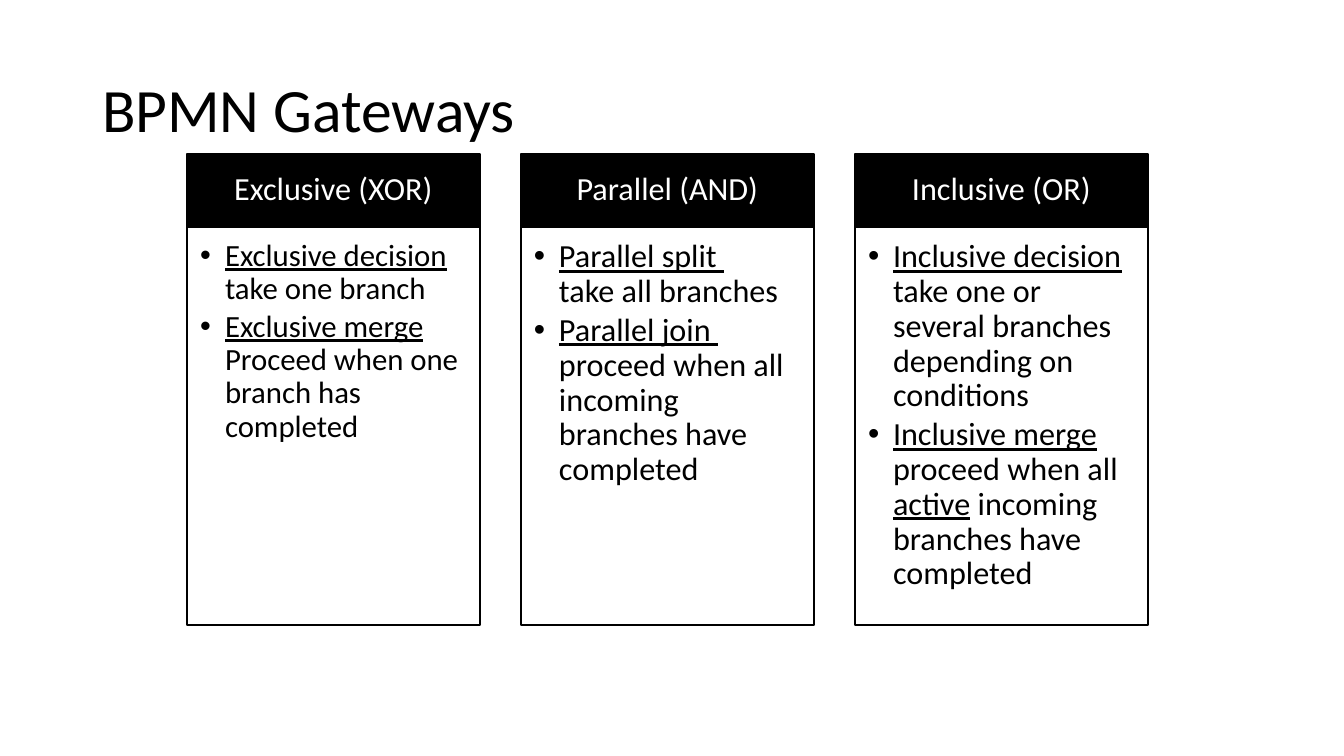
from dataclasses import dataclass

from lxml import etree
from pptx import Presentation
from pptx import util as u
from pptx.dml.color import RGBColor
from pptx.enum import shapes, text
from pptx.oxml.ns import qn


@dataclass(frozen=True)
class Theme:
    font: str = "Calibri"
    ink: RGBColor = RGBColor(0, 0, 0)
    paper: RGBColor = RGBColor(255, 255, 255)
    title: int = 44
    head: int = 23


THEME = Theme()
SCALE = 914400 / 100.8
LEFT, STEP, WIDTH = 187, 334, 293
TOP, HEAD, BODY = 154, 73, 398

GATES = [
    ("Exclusive (XOR)", 22, [
        [("Exclusive decision", True), "\n", ("take one branch", False)],
        [("Exclusive merge", True), "\n",
         ("Proceed when one branch has completed", False)],
    ]),
    ("Parallel (AND)", 23, [
        [("Parallel split ", True), "\n", ("take all branches", False)],
        [("Parallel join ", True), "\n",
         ("proceed when all incoming branches have completed", False)],
    ]),
    ("Inclusive (OR)", 23, [
        [("Inclusive decision ", True),
         ("take one or several branches depending on conditions", False)],
        [("Inclusive merge", True), (" proceed when all ", False),
         ("active", True), (" incoming branches have completed", False)],
    ]),
]


def px(n):
    return u.Emu(round(n * SCALE))


def style(run, size, color, under=None):
    font = run.font
    font.name = THEME.font
    font.size = u.Pt(size)
    font.color.rgb = color
    font.underline = under


def add_title(slide, words):
    title = slide.shapes.title
    title.left, title.top, title.width, title.height = map(px, (92, 40, 1159, 146))
    frame = title.text_frame
    frame.text = words
    frame.auto_size = text.MSO_AUTO_SIZE.NONE
    frame.vertical_anchor = text.MSO_ANCHOR.MIDDLE
    para = frame.paragraphs[0]
    para.alignment = text.PP_ALIGN.LEFT
    para.line_spacing = 0.9
    style(para.runs[0], THEME.title, THEME.ink)


def add_box(slide, left, top, height, fill, pads):
    box = slide.shapes.add_shape(
        shapes.MSO_SHAPE.RECTANGLE, px(left), px(top), px(WIDTH), px(height))
    box.shadow.inherit = False
    box.fill.solid()
    box.fill.fore_color.rgb = fill
    box.line.color.rgb = THEME.ink
    box.line.width = u.Pt(1)
    frame = box.text_frame
    frame.word_wrap = True
    frame.margin_left, frame.margin_top, frame.margin_right, frame.margin_bottom = map(px, pads)
    return frame


def add_head(slide, left, words):
    frame = add_box(slide, left, TOP, HEAD, THEME.ink, (18, 10, 18, 10))
    frame.text = words
    frame.vertical_anchor = text.MSO_ANCHOR.MIDDLE
    para = frame.paragraphs[0]
    para.alignment = text.PP_ALIGN.CENTER
    para.line_spacing = 0.9
    style(para.runs[0], THEME.head, THEME.paper)


def add_bullet(para, parts, size):
    props = para._p.get_or_add_pPr()
    props.set("marL", str(px(25)))
    props.set("indent", str(px(-25)))
    etree.SubElement(props, qn("a:buFont")).set("typeface", "Arial")
    etree.SubElement(props, qn("a:buChar")).set("char", "•")
    para.alignment = text.PP_ALIGN.LEFT
    para.line_spacing = 0.9
    para.space_after = u.Pt(3)
    for part in parts:
        if part == "\n":
            para.add_line_break()
            continue
        words, under = part
        run = para.add_run()
        run.text = words
        style(run, size, THEME.ink, under)


def add_body(slide, left, items, size):
    frame = add_box(slide, left, TOP + HEAD, BODY, THEME.paper, (13, 13, 18, 20))
    frame.vertical_anchor = text.MSO_ANCHOR.TOP
    for i, parts in enumerate(items):
        para = frame.add_paragraph() if i else frame.paragraphs[0]
        add_bullet(para, parts, size)


def main():
    deck = Presentation()
    deck.slide_width, deck.slide_height = px(1344), px(756)
    slide = deck.slides.add_slide(deck.slide_layouts[5])
    add_title(slide, "BPMN Gateways")
    for i, (name, size, items) in enumerate(GATES):
        left = LEFT + i * STEP
        add_head(slide, left, name)
        add_body(slide, left, items, size)
    deck.save("out.pptx")


if __name__ == "__main__":
    main()
